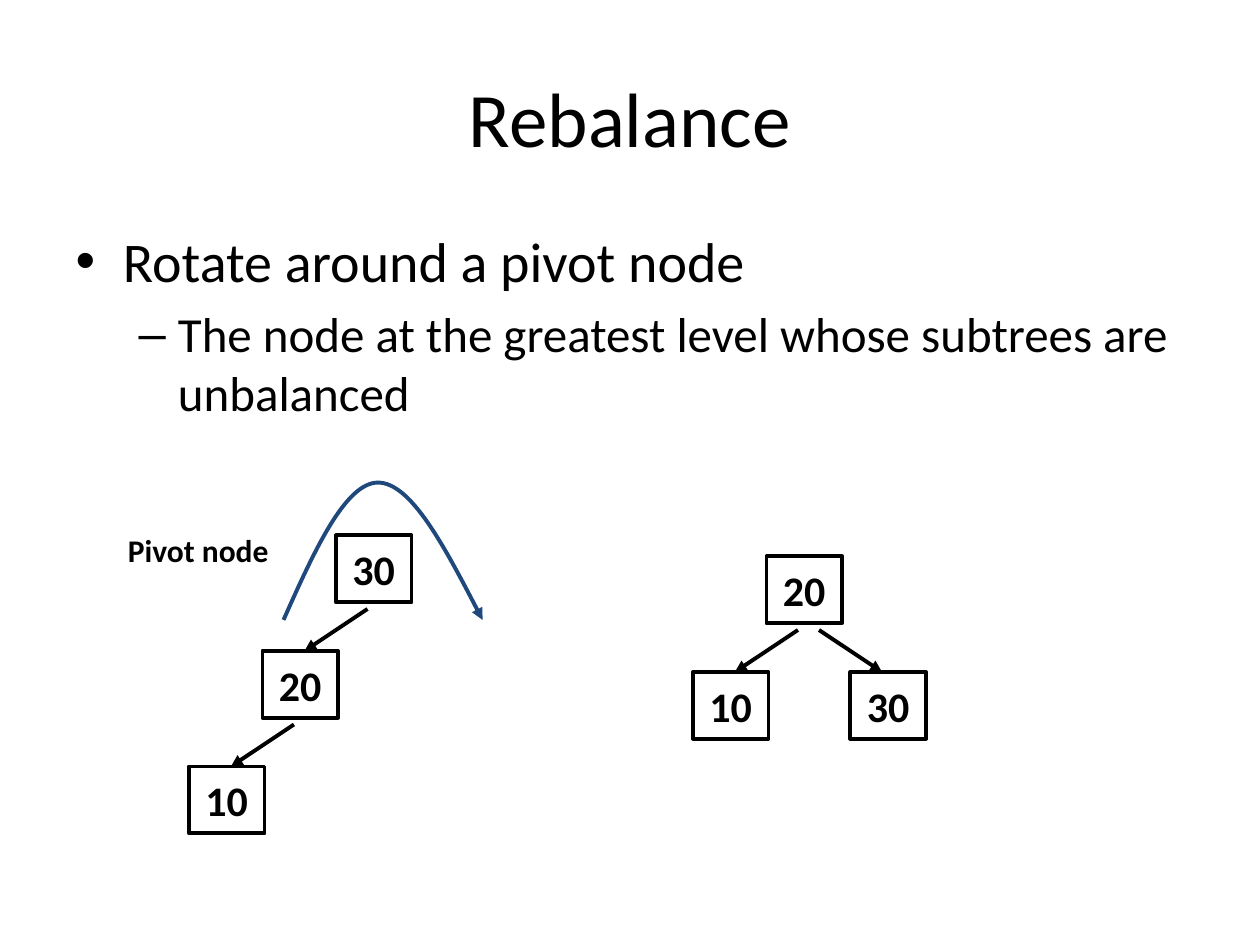
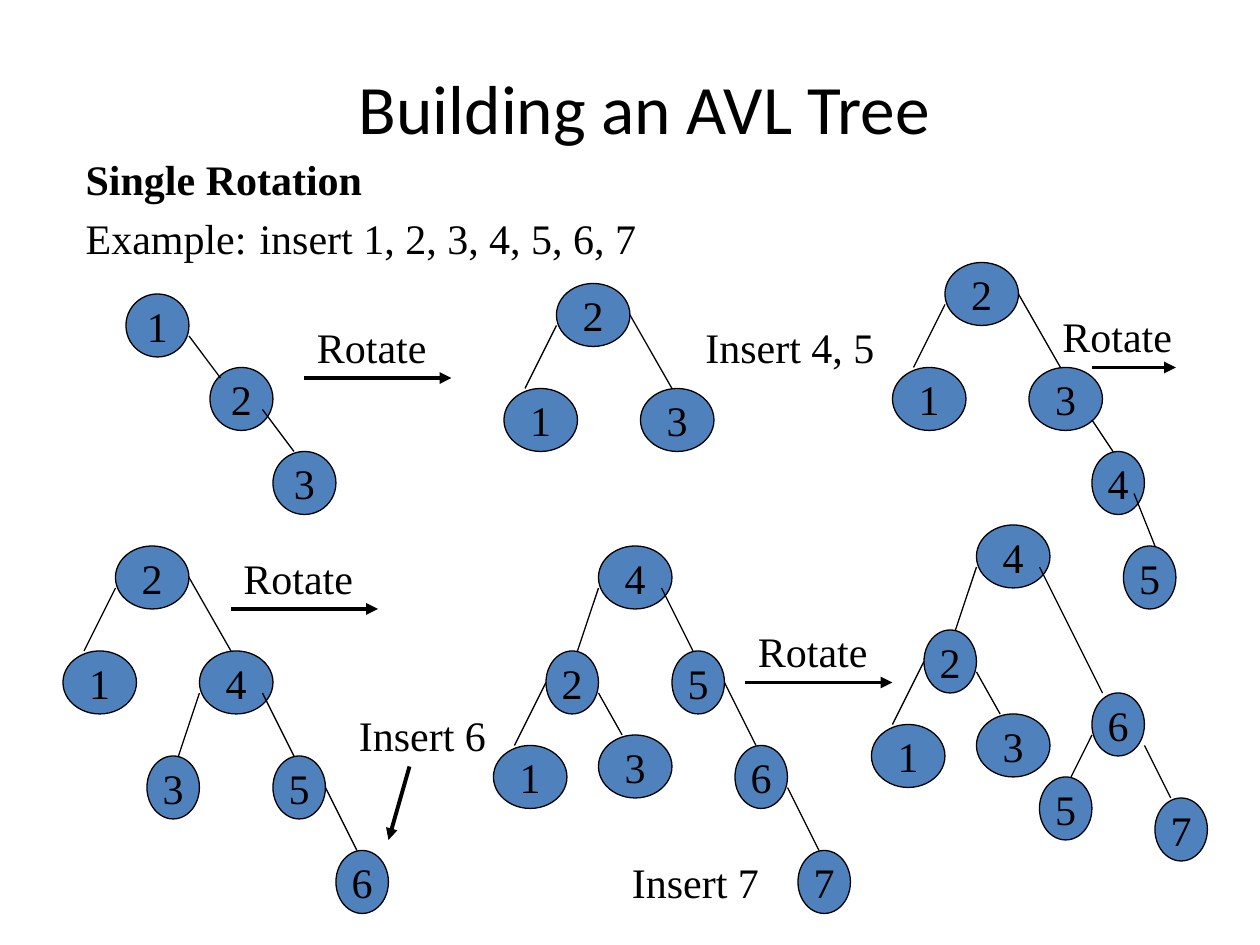
import pptx
import pptx.util
import pptx.dml.color
import pptx.enum.shapes
import pptx.enum.text
import pptx.oxml
import pptx.oxml.ns
import lxml.etree

Inches = pptx.util.Inches
Pt = pptx.util.Pt
RGB = pptx.dml.color.RGBColor.from_string
ALIGN = pptx.enum.text.PP_ALIGN
MIDDLE = pptx.enum.text.MSO_ANCHOR.MIDDLE
KIND = pptx.enum.shapes.MSO_SHAPE
qn = pptx.oxml.ns.qn

COLORS = {"ink": "000000", "paper": "FFFFFF", "node": "4F81BD", "curve": "1F497D"}
SANS, SERIF = "Calibri", "Times New Roman"
UNIT = Inches(1) // 12  # drawings sit on a grid of twelfths of an inch


def write(frame, lines, font, sizes, bolds, align=None):
    """Fill a text frame, one paragraph per line, and format its runs."""
    frame.text = "\n".join(lines)
    frame.auto_size = pptx.enum.text.MSO_AUTO_SIZE.NONE
    frame.paragraphs[0].space_before = Pt(0)
    for para, size, bold in zip(frame.paragraphs, sizes, bolds):
        para.alignment = align
        for run in para.runs:
            run.font.name, run.font.size, run.font.bold = font, Pt(size), bold
            run.font.color.rgb = RGB(COLORS["ink"])


def draw(shapes, ends, width, arrow=False):
    """Draw a straight line between two grid points."""
    line = shapes.add_connector(
        pptx.enum.shapes.MSO_CONNECTOR.STRAIGHT, *[int(v * UNIT) for v in ends])
    line.line.color.rgb = RGB(COLORS["ink"])
    line.line.width = Pt(width)
    if arrow:
        lxml.etree.SubElement(line.line._get_or_add_ln(), qn("a:tailEnd"), type="triangle")
    lxml.etree.SubElement(line._element.spPr, qn("a:effectLst"))


deck = pptx.Presentation()
deck.slide_width, deck.slide_height = Inches(10), Inches(7.5)

# Titles and lists: title, its place and size, list, its place, font, sizes, bolds
pages = [
    ("Rebalance", (0.5, 0.3, 9, 1.25), 44,
     ["Rotate around a pivot node",
      "The node at the greatest level whose subtrees are unbalanced"],
     (0.5, 1.75, 9, 4.95), SANS, (32, 28), (False, False)),
    ("Building an AVL Tree", (0.82, 0.47, 8.59, 0.75), 39.6,
     ["Single Rotation", "Example:\tinsert 1, 2, 3, 4, 5, 6, 7"],
     (0.58, 1.17, 8.5, 4.5), SERIF, (24, 24), (True, False)),
]
for name, place, size, lines, area, font, sizes, bolds in pages:
    slide = deck.slides.add_slide(deck.slide_layouts[1])
    title, body = slide.placeholders
    for holder, box in ((title, place), (body, area)):
        holder.left, holder.top, holder.width, holder.height = map(Inches, box)
    write(title.text_frame, [name], SANS, [size], [False], ALIGN.CENTER)
    title.text_frame.vertical_anchor = MIDDLE
    write(body.text_frame, lines, font, sizes, bolds)

first, second = deck.slides
first.placeholders[1].text_frame.paragraphs[1].level = 1
for para in second.placeholders[1].text_frame.paragraphs:
    props = para._p.get_or_add_pPr()
    props.set("marL", str(Inches(0.38)))
    props.set("indent", str(-Inches(0.38)))
    lxml.etree.SubElement(props, qn("a:buNone"))

# Slide 1: boxes before and after the rotation
boxes = [("30", 32, 51), ("20", 25, 62), ("10", 18, 73),
         ("20", 73, 53), ("30", 81, 64), ("10", 66, 64)]
for text, x, y in boxes:
    box = first.shapes.add_shape(
        KIND.RECTANGLE, x * UNIT, y * UNIT, Inches(0.6), Inches(0.53))
    box.shadow.inherit = False
    box.fill.solid()
    box.fill.fore_color.rgb = RGB(COLORS["paper"])
    box.line.color.rgb = RGB(COLORS["ink"])
    box.line.width = Pt(2.25)
    write(box.text_frame, [text], SANS, [24], [True], ALIGN.CENTER)
    box.text_frame.word_wrap = False
    box.text_frame.vertical_anchor = MIDDLE
for ends in [(35, 58, 29, 62), (28, 69, 22, 73), (76, 60, 70, 64), (78, 60, 84, 64)]:
    draw(first.shapes, ends, 2.25, True)

label = first.shapes.add_textbox(11 * UNIT, 50 * UNIT, Inches(1.48), Inches(0.4))
write(label.text_frame, ["Pivot node"], SANS, [18], [True])

# Curved arrow: each three line points become one cubic curve
points = [(2.49, 4.38), (2.74, 3.83), (3, 3.83), (3.26, 3.83), (3.55, 4.38), (3.83, 4.92)]
maker = first.shapes.build_freeform(Inches(2.25), Inches(4.92))
maker.add_line_segments([(Inches(x), Inches(y)) for x, y in points], close=False)
curve = maker.convert_to_shape()
curve.shadow.inherit = False
curve.fill.background()
curve.line.color.rgb = RGB(COLORS["curve"])
curve.line.width = Pt(2.25)
lxml.etree.SubElement(curve.line._get_or_add_ln(), qn("a:tailEnd"), type="triangle")
track = next(curve._element.iter(qn("a:path")))
steps = track.findall(qn("a:lnTo"))
for start in (0, 3):
    bend = lxml.etree.SubElement(track, qn("a:cubicBezTo"))
    for step in steps[start:start + 3]:
        bend.append(step[0])
        track.remove(step)

# Slide 2: tree parts, measured from the root; nodes are x, y, width
fork = [(0, 0, 7), (-5, 10, 7), (8, 10, 7)]
fork_links = [(0, 4, -3, 10), (7, 3, 11, 10)]
wing = [(0, 0, 7), (-5, 10, 5), (-10, 19, 7), (0, 18, 7)]
wing_links = [(0, 4, -2, 10), (-5, 13, -8, 19), (0, 14, 2.25, 18)]

# Root x and y, values, nodes, links
trees = [
    (12, 28, "123", [(0, 0, 6), (8, 7, 6), (14, 15, 6)],
     [(6, 4, 9, 8), (13, 11, 16, 15)]),
    (53, 27, "213", fork, fork_links),
    (90, 25, "21345", fork + [(14, 18, 5), (17, 27, 5)],
     fork_links + [(14, 15, 16, 18), (18, 22, 20, 27)]),
    (11, 52, "214356", fork + [(3, 20, 5), (15, 20, 5), (21, 29, 5)],
     fork_links + [(8, 14, 6, 20), (14, 14, 17, 20), (20, 23, 23, 29)]),
    (57, 52, "4213567", wing + [(7, 10, 5), (13, 19, 5), (19, 29, 5)],
     wing_links + [(6, 4, 9, 10), (12, 13, 15, 19), (18, 23, 21, 29)]),
    (93, 50, "4213657", wing + [(11, 16, 5), (6, 24, 5), (17, 26, 5)],
     wing_links + [(6, 4, 12, 16), (11, 20, 9, 24), (16, 21, 18.5, 26)]),
]
for left, top, values, nodes, links in trees:
    tree = second.shapes.add_group_shape()
    for value, (x, y, width) in zip(values, nodes):
        node = tree.shapes.add_shape(
            KIND.OVAL, (left + x) * UNIT, (top + y) * UNIT, width * UNIT, 6 * UNIT)
        node.shadow.inherit = False
        node.fill.solid()
        node.fill.fore_color.rgb = RGB(COLORS["node"])
        node.line.color.rgb = RGB(COLORS["ink"])
        node.line.width = Pt(0.75)
        write(node.text_frame, [value], SERIF, [24], [False], ALIGN.CENTER)
        node.text_frame.word_wrap = False
        node.text_frame.vertical_anchor = MIDDLE
    for x1, y1, x2, y2 in links:
        draw(tree.shapes, (left + x1, top + y1, left + x2, top + y2), 0.75)

# Step labels and arrows
labels = [("Rotate", 29, 30, 15), ("Insert 4, 5", 66, 30, 20), ("Rotate", 100, 29, 15),
          ("Rotate", 22, 52, 15), ("Insert 6", 33, 67, 20), ("Rotate", 71, 59, 15),
          ("Insert 7", 59, 81, 16)]
for text, x, y, width in labels:
    label = second.shapes.add_textbox(x * UNIT, y * UNIT, width * UNIT, 6 * UNIT)
    label.text_frame.word_wrap = True
    write(label.text_frame, [text], SERIF, [24], [False])
for ends in [(29, 36, 43, 36), (104, 35, 112, 35), (22, 58, 36, 58),
             (39, 73, 37, 80), (71, 65, 85, 65)]:
    draw(second.shapes, ends, 2.25, True)

deck.save("out.pptx")
